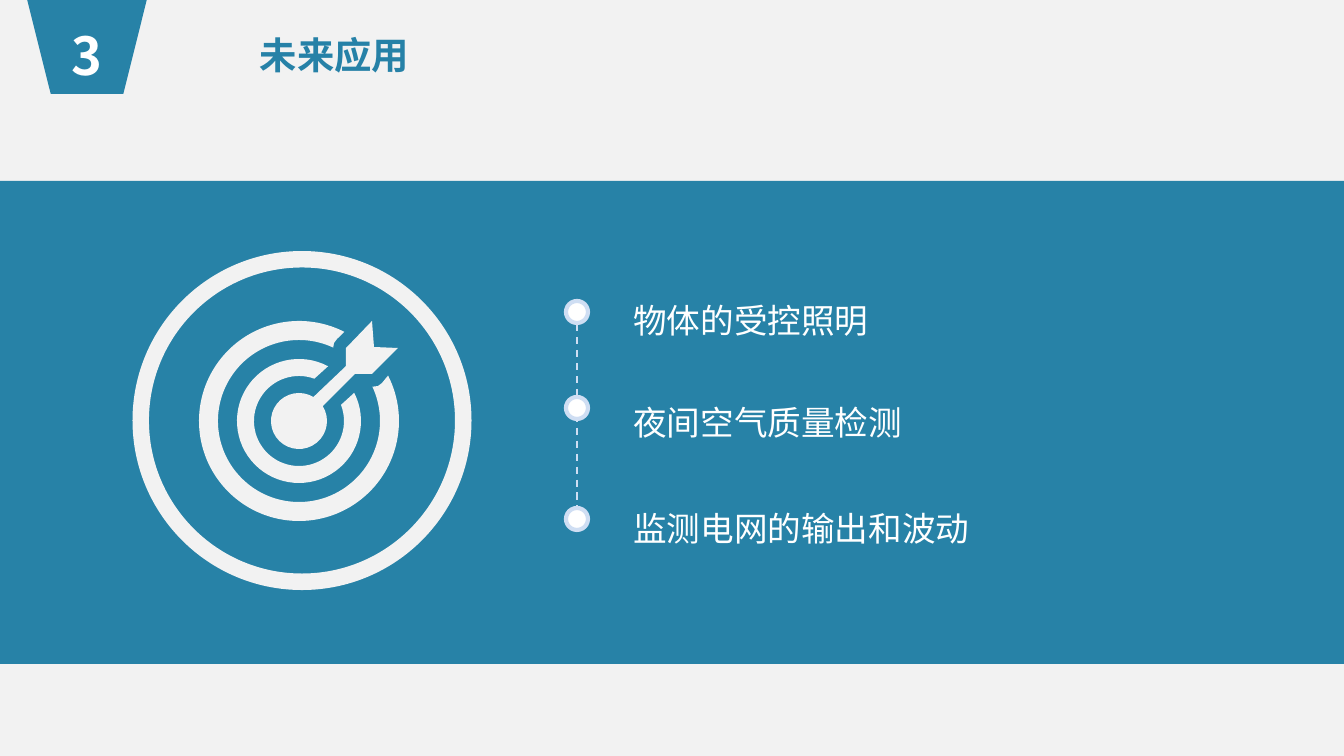
from math import ceil, cos, radians, sin, tan

from lxml import etree
from pptx import Presentation
from pptx.dml.color import RGBColor
from pptx.enum.dml import MSO_LINE
from pptx.enum.shapes import MSO_CONNECTOR, MSO_SHAPE
from pptx.enum.text import MSO_AUTO_SIZE, PP_ALIGN
from pptx.oxml.ns import qn
from pptx.util import Emu, Pt

BLUE = RGBColor(0x27, 0x82, 0xA7)
TITLE_BLUE = RGBColor(0x26, 0x81, 0xA7)
GREY = RGBColor(0xF2, 0xF2, 0xF2)
PALE = RGBColor(0xCF, 0xDE, 0xF3)
WHITE = RGBColor(0xFF, 0xFF, 0xFF)
FONT = "Noto Sans CJK SC"
SCALE = 914400 / 134.4


def px(n):
    return Emu(round(n * SCALE))


def arc(cx, cy, r, start=0, end=360):
    """Start point, then curves (two handles and an end), clockwise degrees."""
    count = ceil(abs(end - start) / 90)
    step = radians(end - start) / count
    k = 4 / 3 * tan(step / 4)

    def at(a, pull=0):
        return cx + r * (cos(a) - pull * sin(a)), cy + r * (sin(a) + pull * cos(a))

    angles = [radians(start) + step * i for i in range(count + 1)]
    curves = [(at(a, k), at(a + step, -k), at(a + step)) for a in angles[:-1]]
    return [(at(angles[0]),)] + curves


def corners(*points):
    return [(point,) for point in points]


class SlideBuilder:
    def __init__(self, prs):
        self.s = prs.slides.add_slide(prs.slide_layouts[6])
        fill = self.s.background.fill
        fill.solid()
        fill.fore_color.rgb = GREY

    def paint(self, sp, fill, line=None, width=1):
        sp.shadow.inherit = False
        sp.fill.solid()
        sp.fill.fore_color.rgb = fill
        if line is None:
            sp.line.fill.background()
        else:
            sp.line.color.rgb = line
            sp.line.width = Pt(width)
        return sp

    def shape(self, kind, x, y, w, h, fill, line=None, width=1):
        sp = self.s.shapes.add_shape(kind, px(x), px(y), px(w), px(h))
        return self.paint(sp, fill, line, width)

    def outline(self, contours, fill):
        ends = [[(px(x), px(y)) for *_, (x, y) in c] for c in contours]
        fb = self.s.shapes.build_freeform(*ends[0][0])
        for i, points in enumerate(ends):
            if i:
                fb.move_to(*points[0])
            fb.add_line_segments(points[1:], close=True)
        sp = fb.convert_to_shape()

        # Bend the segments that have handles
        segments = [seg for c in contours for seg in c[1:]]
        lines = list(sp._element.iter(qn("a:lnTo")))
        for ln, (*handles, _) in zip(lines, segments):
            if handles:
                ln.tag = qn("a:cubicBezTo")
            for i, (x, y) in enumerate(handles):
                pt = etree.Element(qn("a:pt"))
                pt.set("x", str(px(x) - sp.left))
                pt.set("y", str(px(y) - sp.top))
                ln.insert(i, pt)
        return self.paint(sp, fill)

    def dashed_line(self, x1, y1, x2, y2, color):
        c = self.s.shapes.add_connector(
            MSO_CONNECTOR.STRAIGHT, px(x1), px(y1), px(x2), px(y2))
        c.line.color.rgb = color
        c.line.width = Pt(1)
        c.line.dash_style = MSO_LINE.DASH
        etree.SubElement(c._element.spPr, qn("a:effectLst"))

    def text(self, text, x, y, w, h, color, font, para):
        tf = self.s.shapes.add_textbox(px(x), px(y), px(w), px(h)).text_frame
        tf.word_wrap = True
        tf.auto_size = MSO_AUTO_SIZE.SHAPE_TO_FIT_TEXT
        p = tf.paragraphs[0]
        for name, value in para.items():
            setattr(p, name, value)
        r = p.add_run()
        r.text = text
        for name, value in {"name": FONT, **font}.items():
            setattr(r.font, name, value)
        r.font.color.rgb = color
        ea = etree.SubElement(r._r.get_or_add_rPr(), qn("a:ea"))
        ea.set("typeface", FONT)


def main():
    prs = Presentation()
    prs.slide_width, prs.slide_height = px(1344), px(756)
    b = SlideBuilder(prs)
    centred = {"alignment": PP_ALIGN.CENTER}

    # Band across the slide
    b.shape(MSO_SHAPE.RECTANGLE, 0, 181, 1344, 483, BLUE)

    # Timeline with three points
    b.dashed_line(577, 324, 577, 527, PALE)
    items = [
        ("物体的受控照明", 301, 273),
        ("夜间空气质量检测", 397, 375),
        ("监测电网的输出和波动", 508, 481),
    ]
    for _, dot_y, _ in items:
        b.shape(MSO_SHAPE.OVAL, 566, dot_y, 22, 22, WHITE, PALE, 2.25)
    for label, _, text_y in items:
        b.text(label, 620, text_y, 566, 67, WHITE,
               {"size": Pt(18)}, {"line_spacing": 1.5})

    # Target icon: frame, bullseye with arrow, two open rings
    frame, target = (302, 420.5), (299, 421)
    arrow = corners((346, 366), (346, 348), (372, 321), (374, 347),
                    (398, 348), (372, 374), (355, 374))
    b.outline([
        arc(*frame, 153),
        arc(*frame, 169.5),
        arc(*target, 28, -32, 301) + arrow,
        arc(*target, 62, -27, 298) + arc(*target, 45, 290, -21),
        arc(*target, 100, -27, 297) + corners((337, 339), (334, 343))
        + arc(*target, 81, 295, -25) + corners((378, 386), (382, 383)),
    ], GREY)

    # Heading and section number
    b.text("未来应用", 145, 26, 379, 59, TITLE_BLUE,
           {"size": Pt(20), "bold": True}, centred)
    tab = b.shape(MSO_SHAPE.TRAPEZOID, 27, -1, 120, 95, BLUE)
    tab.rotation = 180
    b.text("3", 28, 17, 117, 77, WHITE,
           {"size": Pt(28), "bold": True}, centred)

    prs.save("out.pptx")


if __name__ == "__main__":
    main()
